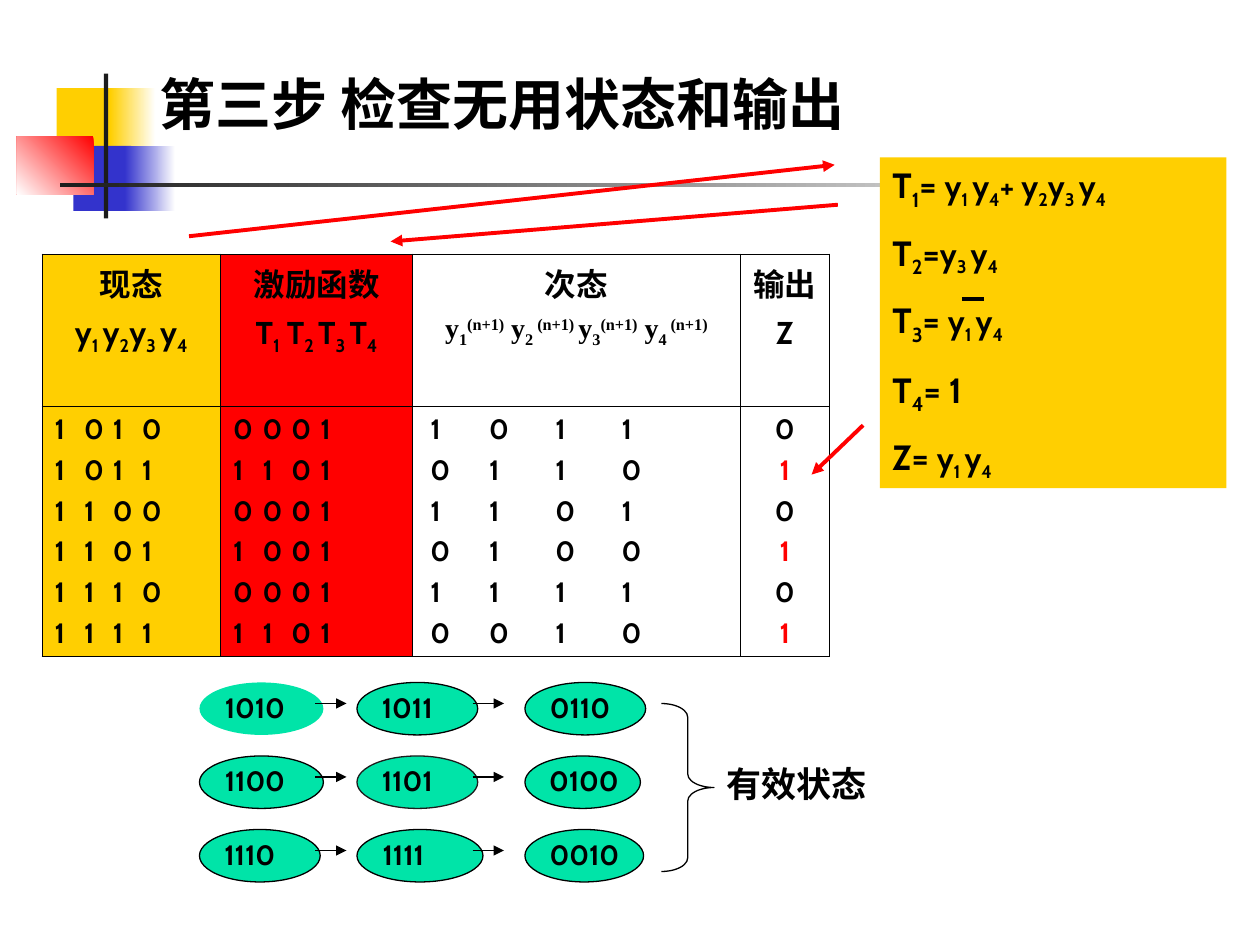
from lxml.etree import SubElement
from pptx import Presentation
from pptx.dml.color import RGBColor
from pptx.enum.shapes import MSO_CONNECTOR, MSO_SHAPE as SHAPE
from pptx.enum.text import MSO_ANCHOR as ANCHOR, PP_ALIGN as ALIGN
from pptx.oxml.ns import qn
from pptx.util import Inches, Pt

COLS, ROWS = 120, 90  # grid of twelve units to the inch
GOLD, RED, BLUE, GREEN = "FFCF01", "FF0000", "3333CC", "00E4A8"
BLACK, DARK, WHITE = "000000", "1C1C1C", "FFFFFF"
BASELINES = {"_": "-25000", "^": "30000"}


def grid(n):
    return Inches(n / 12)


def rgb(color):
    return RGBColor.from_string(color)


def add_text(p, text, size=16, color=BLACK, font="Cabin"):
    """Split text on |; a part led by _ is a subscript, by ^ a superscript."""
    for part in text.split("|"):
        r = p.add_run()
        r.text = part.lstrip("_^")
        r.font.size, r.font.bold, r.font.name = Pt(size), True, font
        r.font.color.rgb = rgb(color)
        if part[0] in BASELINES:
            r._r.get_or_add_rPr().set("baseline", BASELINES[part[0]])


def next_paragraph(tf, space=0, align=ALIGN.LEFT):
    """Reuse the empty first paragraph, otherwise add a spaced one."""
    p = tf.paragraphs[0]
    if p.runs:
        p = tf.add_paragraph()
        p.space_before = Pt(space)
    p.alignment = align
    return p


def add_tabs(p, first, pitch, count):
    tabs = SubElement(p._p.get_or_add_pPr(), qn("a:tabLst"))
    for i in range(count):
        SubElement(tabs, qn("a:tab"), pos=str(grid(first + i * pitch)), algn="l")


def add_shape(slide, kind, box, fill=None, fade=None, line=None):
    sp = slide.shapes.add_shape(kind, *map(grid, box))
    sp.shadow.inherit = False
    if fade:
        sp.fill.gradient()
        sp.fill.gradient_angle = fade[1]
        for stop, color in zip(sp.fill.gradient_stops, (fill, fade[0])):
            stop.color.rgb = rgb(color)
    elif fill:
        sp.fill.solid()
        sp.fill.fore_color.rgb = rgb(fill)
    else:
        sp.fill.background()
    if line:
        sp.line.color.rgb = rgb(line)
        sp.line.width = Pt(0.75)
    else:
        sp.line.fill.background()
    return sp


def add_line(slide, start, end, color=BLACK, width=0.75, arrow=True):
    ln = slide.shapes.add_connector(MSO_CONNECTOR.STRAIGHT, *map(grid, start + end))
    ln.line.color.rgb = rgb(color)
    ln.line.width = Pt(width)
    if arrow:
        SubElement(ln.line._get_or_add_ln(), qn("a:tailEnd"), type="triangle")
    SubElement(ln._element.spPr, qn("a:effectLst"))


def add_label(slide, box, text, size):
    tf = slide.shapes.add_textbox(*map(grid, box)).text_frame
    tf.word_wrap = True
    add_text(tf.paragraphs[0], text, size)


def draw_ornament(slide, x, y):
    blocks = [
        (3.8, 1.4, 5.8, 6.2, GOLD, None), (8.9, 1.4, 4.3, 6.2, GOLD, (WHITE, 0)),
        (5.4, 6.9, 5.5, 6.2, BLUE, None), (10.3, 6.9, 4.8, 6.2, BLUE, (WHITE, 0)),
        (0, 6, 7.3, 5.5, RED, (WHITE, 225)),
        (8.3, 0, 0.4, 13.8, DARK, None), (4.1, 10.4, 108, 0.4, DARK, (WHITE, 0)),
    ]
    for dx, dy, w, h, fill, fade in blocks:
        add_shape(slide, SHAPE.RECTANGLE, (x + dx, y + dy, w, h), fill, fade)


def set_borders(cell):
    pr = cell._tc.get_or_add_tcPr()
    for i, side in enumerate(("lnL", "lnR", "lnT", "lnB")):
        ln = pr.makeelement(qn("a:" + side), {"w": str(Pt(0.45))})
        SubElement(SubElement(ln, qn("a:solidFill")), qn("a:srgbClr"), val=BLACK)
        pr.insert(i, ln)


def draw_state_table(slide, box):
    heads = [
        ("现态", "y|_1 |y|_2|y|_3 |y|_4", {"size": 18}),
        ("激励函数", "T|_1| T|_2 |T|_3 |T|_4", {"size": 18}),
        ("次态", "y|_1|^(n+1)| y|_2 |^(n+1) |y|_3|^(n+1)| y|_4 |^(n+1)",
         {"font": "Times New Roman"}),
        ("输出", "Z", {"size": 18}),
    ]
    columns = [
        ("1010", "1011", "1100", "1101", "1110", "1111"),
        ("0001", "1101", "0001", "1001", "0001", "1101"),
        ("1011", "0110", "1101", "0100", "1111", "0010"),
        tuple("010101"),
    ]
    fills = (GOLD, RED, None, None)
    tab_stops = ((2.8, 2.75), (2.8, 2.75), (5.6, 6.3), (1, 1))
    table = slide.shapes.add_table(2, 4, *map(grid, box)).table
    for row, h in zip(table.rows, (14.5, 23.8)):
        row.height = grid(h)
    for c, w in enumerate((17, 18.3, 31.2, 8.5)):
        table.columns[c].width = grid(w)
        head, body = table.cell(0, c), table.cell(1, c)
        for cell in (head, body):
            if fills[c]:
                cell.fill.solid()
                cell.fill.fore_color.rgb = rgb(fills[c])
            else:
                cell.fill.background()
            set_borders(cell)
        title, symbols, style = heads[c]
        add_text(next_paragraph(head.text_frame, align=ALIGN.CENTER), title, 18)
        add_text(next_paragraph(head.text_frame, 4.5, ALIGN.CENTER), symbols, **style)
        for bits in columns[c]:
            output = len(bits) == 1
            p = next_paragraph(body.text_frame, 4, ALIGN.CENTER if output else ALIGN.LEFT)
            if not output:
                add_tabs(p, *tab_stops[c], 3)
            add_text(p, "\t".join(bits), color=RED if output and bits == "1" else BLACK)
        if c == 2:
            body.margin_left = grid(1.7)


def draw_transitions(slide, x, y):
    chains = [
        (("1010", 11.8, None), ("1011", 11.5, BLACK), ("0110", 11.5, BLACK)),
        (("1100", 11.8, BLACK), ("1101", 11.5, DARK), ("0100", 11, BLACK)),
        (("1110", 11.5, BLACK), ("1111", 12, BLACK), ("0010", 11.3, BLACK)),
    ]
    for i, chain in enumerate(chains):
        top = y + 7 * i
        for dx, (state, w, line) in zip((0, 15, 31), chain):
            sp = add_shape(slide, SHAPE.OVAL, (x + dx, top, w, 5), GREEN, line=line)
            tf = sp.text_frame
            tf.vertical_anchor = ANCHOR.TOP
            tf.margin_left = grid(0.7)
            tf.margin_top = tf.margin_right = tf.margin_bottom = 0
            add_text(next_paragraph(tf), state)
        for dx in (11, 26):
            add_line(slide, (x + dx, top + 2), (x + dx + 3, top + 2))
    brace = add_shape(slide, SHAPE.RIGHT_BRACE, (x + 44, y + 2, 5, 16), line=BLACK)
    brace.adjustments[0] = 0.26
    add_label(slide, (x + 49, y + 7, 18, 5.3), "有效状态", 20)


def draw_formulas(slide, box):
    formulas = [
        ("T|_1|= ", "y|_1 |y|_4|+ y|_2|y|_3 |y|_4"), ("T|_2|=", "y|_3 |y|_4"),
        ("T|_3|= ", "y|_1 |y|_4"), ("T|_4|= 1", None), ("Z= ", "y|_1 |y|_4"),
    ]
    tf = add_shape(slide, SHAPE.RECTANGLE, box, GOLD).text_frame
    tf.vertical_anchor = ANCHOR.TOP
    for left, right in formulas:
        p = next_paragraph(tf, 11.2 if right else 12.5)
        add_text(p, left, 20)
        if right:
            add_text(p, right, 18)
    x, y = box[0] + 7.8, box[1] + 13.5
    add_line(slide, (x, y), (x + 2.1, y), width=2.25, arrow=False)


def main():
    prs = Presentation()
    prs.slide_width, prs.slide_height = grid(COLS), grid(ROWS)
    slide = prs.slides.add_slide(prs.slide_layouts[6])
    draw_ornament(slide, 1.6, 7)
    add_label(slide, (14, 6, 99, 9), "第三步 检查无用状态和输出", 32)
    draw_state_table(slide, (4, 24.2, 75, 38.3))
    draw_transitions(slide, 19, 65)
    draw_formulas(slide, (83.8, 15, 33, 31.5))
    for start, end in (((18, 22.5), (79.5, 15.7)), ((79.8, 19.5), (37.2, 23)),
                       ((82.2, 40.5), (77.3, 45.2))):
        add_line(slide, start, end, RED, 2.25)
    prs.save("out.pptx")


if __name__ == "__main__":
    main()
